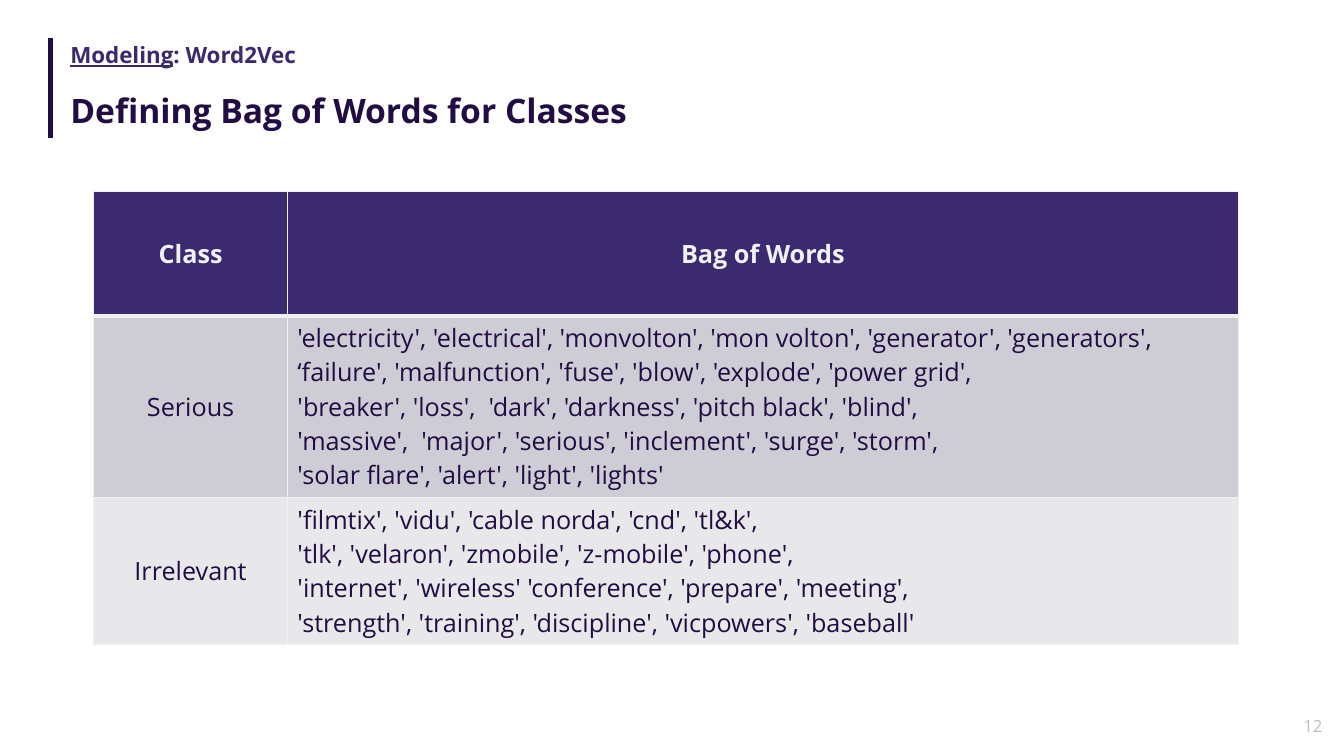
from dataclasses import dataclass

import pptx
import pptx.dml.color
import pptx.enum.shapes
import pptx.enum.text
import pptx.oxml
import pptx.oxml.ns
import pptx.util

Pt = pptx.util.Pt
ALIGN = pptx.enum.text.PP_ALIGN
MIDDLE = pptx.enum.text.MSO_ANCHOR.MIDDLE
TOP = pptx.enum.text.MSO_ANCHOR.TOP

FONT = "Open Sans"
INK, PURPLE, PALE, GREY = "210D43", "3C2A70", "F0F1F7", "BFBFBF"
COLUMN_WIDTHS = (138.3, 679.3)
LINE_SIDES = ("lnL", "lnR", "lnT", "lnB")


@dataclass
class ClassRow:
    label: str
    words: str
    fill: str
    height: float
    color: str = INK
    bold: bool = False
    words_align: ALIGN = ALIGN.LEFT
    top_line: float = 1
    bottom_line: float = 1


ROWS = [
    ClassRow("Class", "Bag of Words", PURPLE, 88.7, PALE, True,
             ALIGN.CENTER, bottom_line=3),
    ClassRow(
        "Serious",
        "'electricity', 'electrical', 'monvolton', 'mon volton', 'generator', 'generators', \v"
        "‘failure', 'malfunction', 'fuse', 'blow', 'explode', 'power grid',\v"
        "'breaker', 'loss',  'dark', 'darkness', 'pitch black', 'blind',\v"
        "'massive',  'major', 'serious', 'inclement', 'surge', 'storm',\v"
        "'solar flare', 'alert', 'light', 'lights'",
        "CECDD5", 129.5, top_line=3),
    ClassRow(
        "Irrelevant",
        "'filmtix', 'vidu', 'cable norda', 'cnd', 'tl&k',\n"
        "'tlk', 'velaron', 'zmobile', 'z-mobile', 'phone',\n"
        "'internet', 'wireless' 'conference', 'prepare', 'meeting',\n"
        "'strength', 'training', 'discipline', 'vicpowers', 'baseball'",
        "E8E8EB", 105),
]


def rgb(color: str) -> pptx.dml.color.RGBColor:
    return pptx.dml.color.RGBColor.from_string(color)


def format_text(frame, size: float, color: str, bold: bool = False,
                align: ALIGN = ALIGN.LEFT, anchor=MIDDLE) -> None:
    frame.vertical_anchor = anchor
    for paragraph in frame.paragraphs:
        paragraph.alignment = align
        for run in paragraph.runs:
            run.font.name = FONT
            run.font.size = Pt(size)
            run.font.bold = bold
            run.font.color.rgb = rgb(color)


def place(shape, left: float, top: float, width: float, height: float) -> None:
    shape.left, shape.top = Pt(left), Pt(top)
    shape.width, shape.height = Pt(width), Pt(height)
    shape.text_frame.word_wrap = True
    shape.text_frame.auto_size = pptx.enum.text.MSO_AUTO_SIZE.NONE


def fill_cell(cell, text: str, row: ClassRow, align: ALIGN) -> None:
    cell.text_frame.text = text
    format_text(cell.text_frame, 18, row.color, row.bold, align)
    cell.vertical_anchor = MIDDLE
    properties = cell._tc.get_or_add_tcPr()
    for side, width in zip(LINE_SIDES, (1, 1, row.top_line, row.bottom_line)):
        properties.append(pptx.oxml.parse_xml(
            f'<a:{side} {pptx.oxml.ns.nsdecls("a")} w="{Pt(width)}"><a:solidFill>'
            f'<a:srgbClr val="{PALE}"/></a:solidFill></a:{side}>'))
    cell.fill.solid()
    cell.fill.fore_color.rgb = rgb(row.fill)


def add_word_table(slide) -> None:
    table = slide.shapes.add_table(
        len(ROWS), len(COLUMN_WIDTHS), Pt(67), Pt(136.8),
        Pt(sum(COLUMN_WIDTHS)), Pt(sum(row.height for row in ROWS))).table
    for column, width in zip(table.columns, COLUMN_WIDTHS):
        column.width = Pt(width)
    for index, row in enumerate(ROWS):
        table.rows[index].height = Pt(row.height)
        fill_cell(table.cell(index, 0), row.label, row, ALIGN.CENTER)
        fill_cell(table.cell(index, 1), row.words, row, row.words_align)


def main() -> None:
    deck = pptx.Presentation()
    deck.slide_width, deck.slide_height = Pt(960), Pt(540)
    slide = deck.slides.add_slide(deck.slide_layouts[5])

    # Accent bar beside the headings
    accent = slide.shapes.add_connector(
        pptx.enum.shapes.MSO_CONNECTOR.STRAIGHT, Pt(36), Pt(27.4), Pt(36), Pt(98.6))
    accent.line.color.rgb = rgb(INK)
    accent.line.width = Pt(3)
    accent._element.spPr.append(
        pptx.oxml.parse_xml(f'<a:effectLst {pptx.oxml.ns.nsdecls("a")}/>'))

    # Section title
    title = slide.shapes.title
    place(title, 43, 28, 828, 31)
    section = title.text_frame.paragraphs[0]
    section.line_spacing = 0.9
    for text, underlined in (("Modeling", True), (": Word2Vec", False)):
        run = section.add_run()
        run.text = text
        run.font.underline = underlined
    format_text(title.text_frame, 16, PURPLE, True, anchor=TOP)

    # Slide heading
    heading = slide.shapes.add_textbox(0, 0, 0, 0)
    place(heading, 43.2, 62, 828, 36.7)
    heading.text_frame.text = "Defining Bag of Words for Classes"
    heading.text_frame.paragraphs[0].line_spacing = 0.9
    heading.text_frame.paragraphs[0].space_before = Pt(10)
    format_text(heading.text_frame, 24, INK, True)

    # Classes and their words
    add_word_table(slide)

    # Page number
    page_number = slide.shapes.add_textbox(0, 0, 0, 0)
    place(page_number, 915.8, 504.7, 36, 27.4)
    page_number.text_frame.text = "12"
    format_text(page_number.text_frame, 12, GREY, align=ALIGN.RIGHT)

    deck.save("out.pptx")


if __name__ == "__main__":
    main()
